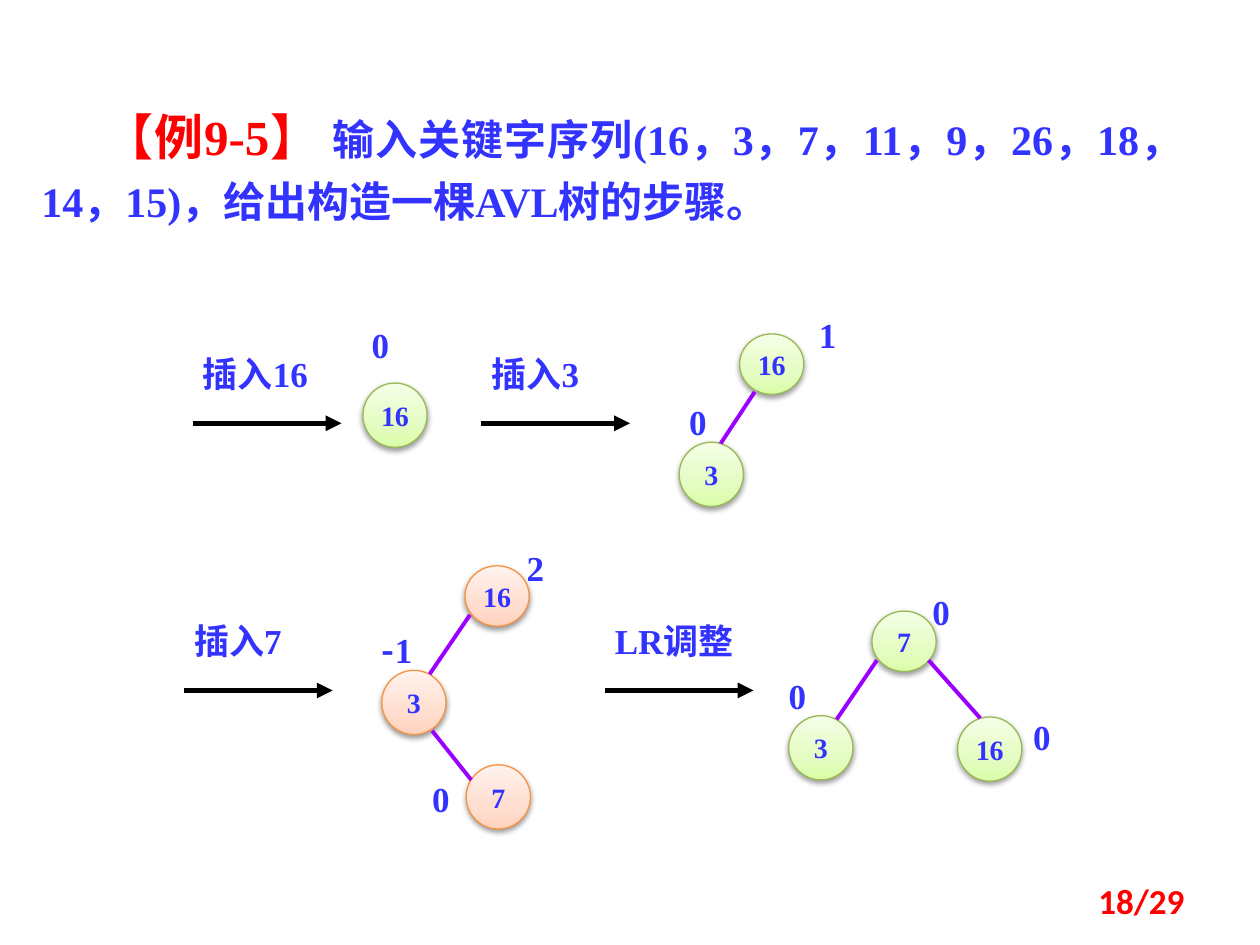
import copy

import lxml.etree
import pptx
import pptx.dml.color
import pptx.enum.shapes
import pptx.enum.text
import pptx.oxml.ns
import pptx.util

Inches = pptx.util.Inches
Pt = pptx.util.Pt
Align = pptx.enum.text.PP_ALIGN
qn = pptx.oxml.ns.qn

COLORS = {
    "text": "3333FF",
    "accent": "FF0000",
    "arrow": "000000",
    "edge": "9900FF",
    "shadow": "000000",
}
BALANCED = {"line": "98B955", "stops": ("DAFDA7", "E4FCC2", "F5FFE7")}
UNBALANCED = {"line": "F69240", "stops": ("FFD2BD", "FFDED0", "FFF2ED")}


def rgb(value):
    """Return the color for a hex string."""
    return pptx.dml.color.RGBColor.from_string(value)


class TreeSlide:
    """Draws the steps of building an AVL tree on one slide."""

    serif = "Times New Roman"

    def __init__(self, deck):
        self.shapes = deck.slides.add_slide(deck.slide_layouts[6]).shapes

    def style(self, font, size, color=COLORS["text"], name=serif):
        font.name, font.size, font.bold = name, Pt(size), True
        font.color.rgb = rgb(color)

    def clear_margins(self, frame):
        frame.margin_left = frame.margin_right = 0
        frame.margin_top = frame.margin_bottom = 0

    def text_box(self, left, top, width, height):
        box = self.shapes.add_textbox(Inches(left), Inches(top), Inches(width), Inches(height))
        box.text_frame.word_wrap = True
        return box.text_frame

    def statement(self, heading, body):
        para = self.text_box(0.23, 0.7, 9.25, 1.15).paragraphs[0]
        para.alignment, para.line_spacing = Align.JUSTIFY, 1.2
        para._p.get_or_add_pPr().set("indent", str(Inches(0.5)))
        for text, size, color in ((heading, 28, COLORS["accent"]), (body, 24, COLORS["text"])):
            span = para.add_run()
            span.text = text
            self.style(span.font, size, color)

    def label(self, text, left, top, width=0.24):
        frame = self.text_box(left, top, width, 0.33)
        self.clear_margins(frame)
        para = frame.paragraphs[0]
        self.style(para.font, 20)
        if text.startswith("-"):
            sign = para.add_run()
            sign.text, sign.font.name = "-", "Noto Sans CJK SC"
            text = text[1:]
        para.add_run().text = text

    def line(self, start, end, color, width):
        points = [Inches(value) for value in (*start, *end)]
        line = self.shapes.add_connector(pptx.enum.shapes.MSO_CONNECTOR.STRAIGHT, *points)
        line.line.color.rgb, line.line.width = rgb(color), Pt(width)
        lxml.etree.SubElement(line._element.spPr, qn("a:effectLst"))
        return line

    def edge(self, start, end):
        self.line(start, end, COLORS["edge"], 2.25)

    def step(self, text, left, top):
        self.label(text, left + 0.08, top - 0.56, 1.02)
        arrow = self.line((left, top), (left + 1.18, top), COLORS["arrow"], 3)
        lxml.etree.SubElement(arrow.line._get_or_add_ln(), qn("a:tailEnd"), type="triangle")

    def node(self, text, left, top, palette=BALANCED, height=0.51):
        node = self.shapes.add_shape(
            pptx.enum.shapes.MSO_SHAPE.OVAL,
            Inches(left), Inches(top), Inches(0.51), Inches(height))
        node.fill.gradient()
        node.fill.gradient_angle = 90
        stop_list = node._element.spPr.find(".//" + qn("a:gsLst"))
        stop_list.insert(1, copy.deepcopy(stop_list[0]))
        for stop, place, color in zip(node.fill.gradient_stops, (0, 0.35, 1), palette["stops"]):
            stop.position, stop.color.rgb = place, rgb(color)
        node.line.color.rgb, node.line.width = rgb(palette["line"]), Pt(0.75)
        self.drop_shadow(node)
        frame = node.text_frame
        self.clear_margins(frame)
        frame.word_wrap = False
        frame.vertical_anchor = pptx.enum.text.MSO_ANCHOR.MIDDLE
        para = frame.paragraphs[0]
        para.text, para.alignment = text, Align.CENTER
        self.style(para.font, 16)

    def drop_shadow(self, shape):
        shape.shadow.inherit = False
        effects = shape._element.spPr.find(qn("a:effectLst"))
        shadow = lxml.etree.SubElement(
            effects, qn("a:outerShdw"), blurRad=str(Pt(3.1)), dist=str(Pt(1.6)),
            dir="5400000", rotWithShape="0")
        color = lxml.etree.SubElement(shadow, qn("a:srgbClr"), val=COLORS["shadow"])
        lxml.etree.SubElement(color, qn("a:alpha"), val="38000")

    def page_number(self, text):
        frame = self.text_box(7.17, 6.95, 2.33, 0.4)
        frame.vertical_anchor = pptx.enum.text.MSO_ANCHOR.MIDDLE
        para = frame.paragraphs[0]
        para.text, para.alignment = text, Align.RIGHT
        self.style(para.font, 20, COLORS["accent"], "Calibri")


def main():
    """Build the slide and save it."""
    deck = pptx.Presentation()
    deck.slide_width, deck.slide_height = Inches(10), Inches(7.5)
    page = TreeSlide(deck)
    page.statement("【例9-5】 ", "输入关键字序列(16，3，7，11，9，26，18，14，15)，给出构造一棵AVL树的步骤。")

    page.step("插入16", 1.53, 3.36)
    page.node("16", 2.88, 3.04)
    page.label("0", 2.95, 2.57)

    page.step("插入3", 3.82, 3.36)
    page.node("16", 5.87, 2.65, height=0.48)
    page.node("3", 5.39, 3.51)
    page.label("1", 6.5, 2.49)
    page.label("0", 5.47, 3.18)
    page.edge((5.99, 3.11), (5.72, 3.52))

    page.step("插入7", 1.46, 5.48)
    page.node("16", 3.69, 4.49, UNBALANCED, 0.48)
    page.node("3", 3.03, 5.32, UNBALANCED)
    page.label("2", 4.18, 4.34)
    page.label("-1", 3.03, 4.99, 0.31)
    page.edge((3.73, 4.88), (3.41, 5.35))
    page.node("7", 3.7, 6.07, UNBALANCED)
    page.edge((3.43, 5.8), (3.74, 6.19))
    page.label("0", 3.43, 6.17)

    page.step("LR调整", 4.8, 5.48)
    page.node("7", 6.92, 4.85, height=0.48)
    page.node("3", 6.26, 5.68)
    page.node("16", 7.6, 5.69)
    page.label("0", 7.4, 4.69)
    page.label("0", 6.26, 5.35, 0.31)
    page.label("0", 8.2, 5.68)
    page.edge((6.96, 5.24), (6.64, 5.71))
    page.edge((7.37, 5.24), (7.78, 5.7))

    page.page_number("18/29")
    deck.save("out.pptx")


if __name__ == "__main__":
    main()
